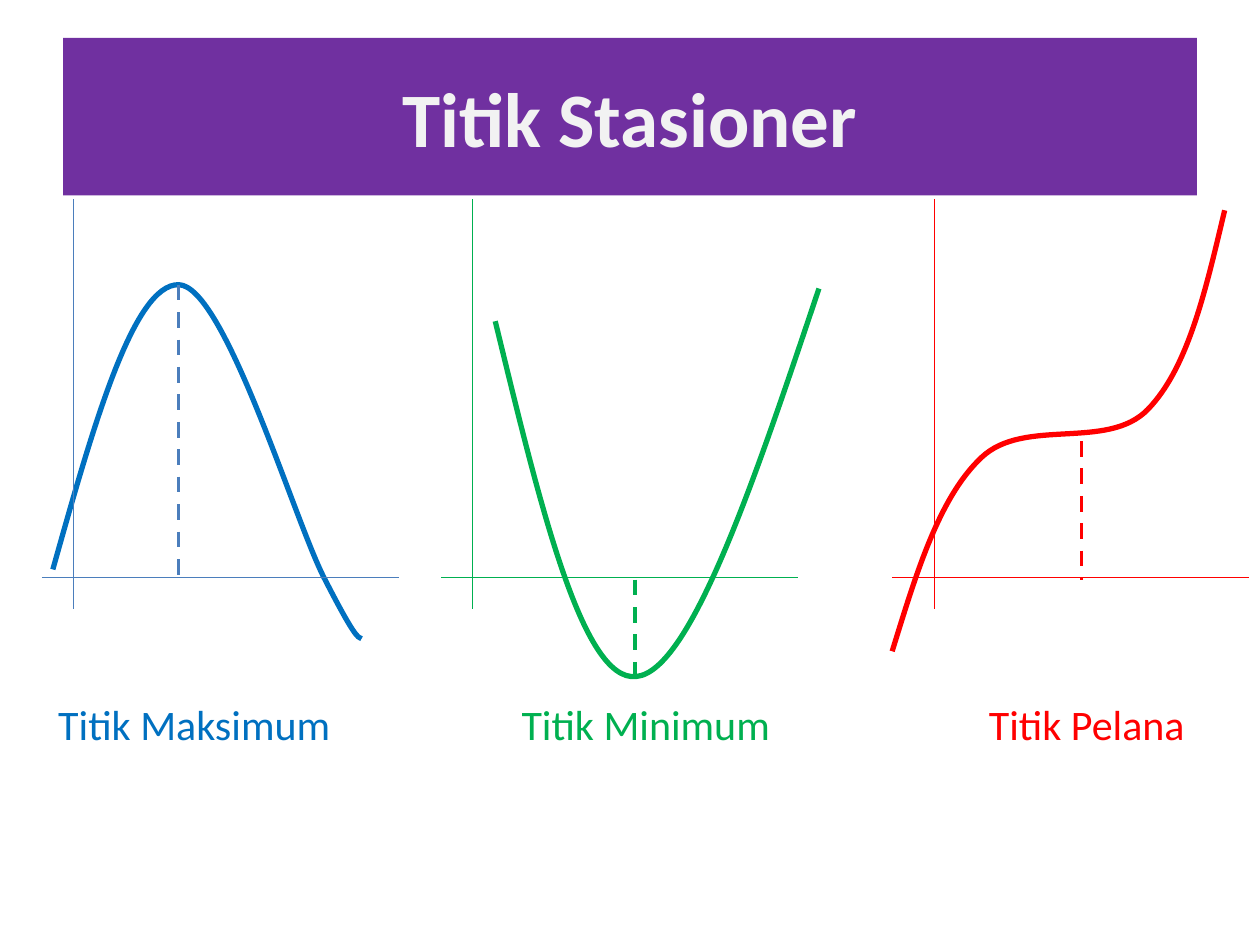
from dataclasses import dataclass

from lxml import etree
from pptx import Presentation
from pptx import util as u
from pptx.dml.color import RGBColor
from pptx.enum import dml, shapes, text
from pptx.oxml import ns
from pptx.slide import Slide

PURPLE = RGBColor(0x70, 0x30, 0xA0)
PALE = RGBColor(0xF2, 0xF2, 0xF2)
BLUE = RGBColor(0x00, 0x70, 0xC0)
STEEL = RGBColor(0x4B, 0x7E, 0xBC)
GREEN = RGBColor(0x00, 0xB0, 0x50)
RED = RGBColor(0xFF, 0x00, 0x00)

FONT = "Calibri"
AXIS_TOP, AXIS_BOTTOM = 114, 348
BASELINE = 329.9
BASELINE_LENGTH = 204
CAPTION_TOP, CAPTION_WIDTH, CAPTION_HEIGHT = 395.7, 198, 36

Point = tuple[float, float]


@dataclass(frozen=True)
class Graph:
    caption: str
    caption_left: float
    curve_color: RGBColor
    axis_color: RGBColor
    axis_x: float
    baseline_left: float
    marker: tuple[Point, Point]
    controls: list[Point]


GRAPHS = [
    Graph("Titik Maksimum", 12, BLUE, STEEL, 42, 24,
          ((102, 162.7), (102, 329.8)),
          [(30.2, 325.4), (53.3, 243.4), (76.3, 162), (102.2, 162.7),
           (128.2, 163.4), (167.8, 295.9), (185, 329.8),
           (202.3, 363.6), (204.5, 364.3), (206.6, 365)]),
    Graph("Titik Minimum", 270, GREEN, GREEN, 270, 252,
          ((362.9, 331.2), (362.9, 388.8)),
          [(283, 183.6), (308.2, 286.6), (332.6, 390.2), (363.6, 386.6),
           (394.6, 383.8), (431.3, 274.3), (468, 164.9)]),
    Graph("Titik Pelana", 522, RED, RED, 534, 510,
          ((618, 252), (618, 331.2)),
          [(509.8, 372.2), (523.4, 328.3), (536.4, 284.4), (560.9, 261.4),
           (585.4, 238.3), (632.9, 257.8), (655.9, 234),
           (679, 210.2), (689, 165.6), (699.8, 120.2)]),
]


def write(box, words: str, size: float, color: RGBColor, bold: bool = False) -> None:
    para = box.text_frame.paragraphs[0]
    para.alignment = text.PP_ALIGN.CENTER
    span = para.add_run()
    span.text = words
    span.font.name = FONT
    span.font.size = u.Pt(size)
    span.font.bold = bold
    span.font.color.rgb = color


def bend_segments(curve) -> None:
    segments = list(curve._element.iter(ns.qn("a:lnTo")))
    for first in range(0, len(segments), 3):
        bend = etree.Element(ns.qn("a:cubicBezTo"))
        segments[first].addprevious(bend)
        for segment in segments[first:first + 3]:
            bend.append(segment[0])
            segment.getparent().remove(segment)


def add_curve(page: Slide, controls: list[Point], color: RGBColor) -> None:
    start, *rest = [(u.Pt(x), u.Pt(y)) for x, y in controls]
    builder = page.shapes.build_freeform(*start)
    builder.add_line_segments(rest, close=False)
    curve = builder.convert_to_shape()
    bend_segments(curve)
    curve.shadow.inherit = False
    curve.fill.background()
    curve.line.color.rgb = color
    curve.line.width = u.Pt(3)


def add_line(page: Slide, start: Point, end: Point, color: RGBColor,
             width: float = 0.75, dashed: bool = False) -> None:
    ends = [u.Pt(length) for length in (*start, *end)]
    line = page.shapes.add_connector(shapes.MSO_CONNECTOR.STRAIGHT, *ends)
    line.line.color.rgb = color
    line.line.width = u.Pt(width)
    if dashed:
        line.line.dash_style = dml.MSO_LINE.DASH
    etree.SubElement(line._element.spPr, ns.qn("a:effectLst"))


def add_caption(page: Slide, graph: Graph) -> None:
    box = page.shapes.add_textbox(u.Pt(graph.caption_left), u.Pt(CAPTION_TOP),
                                  u.Pt(CAPTION_WIDTH), u.Pt(CAPTION_HEIGHT))
    box.text_frame.word_wrap = True
    box.text_frame.auto_size = text.MSO_AUTO_SIZE.SHAPE_TO_FIT_TEXT
    write(box, graph.caption, 24, graph.curve_color)


def add_axes(page: Slide, graph: Graph) -> None:
    add_line(page, (graph.axis_x, AXIS_TOP), (graph.axis_x, AXIS_BOTTOM), graph.axis_color)
    add_line(page, (graph.baseline_left, BASELINE),
             (graph.baseline_left + BASELINE_LENGTH, BASELINE), graph.axis_color)
    add_line(page, *graph.marker, graph.axis_color, 2.25, True)


def add_title(page: Slide) -> None:
    title = page.shapes.title
    title.left, title.top = u.Pt(36), u.Pt(21.6)
    title.width, title.height = u.Pt(648), u.Pt(90)
    title.fill.solid()
    title.fill.fore_color.rgb = PURPLE
    title.text_frame.vertical_anchor = text.MSO_ANCHOR.MIDDLE
    write(title, "Titik Stasioner", 44, PALE, True)


def main() -> None:
    deck = Presentation()
    deck.slide_width, deck.slide_height = u.Pt(720), u.Pt(540)
    page = deck.slides.add_slide(deck.slide_layouts[5])
    add_title(page)
    for graph in GRAPHS:
        add_curve(page, graph.controls, graph.curve_color)
    for graph in GRAPHS:
        add_axes(page, graph)
        add_caption(page, graph)
    deck.save("out.pptx")


if __name__ == "__main__":
    main()
